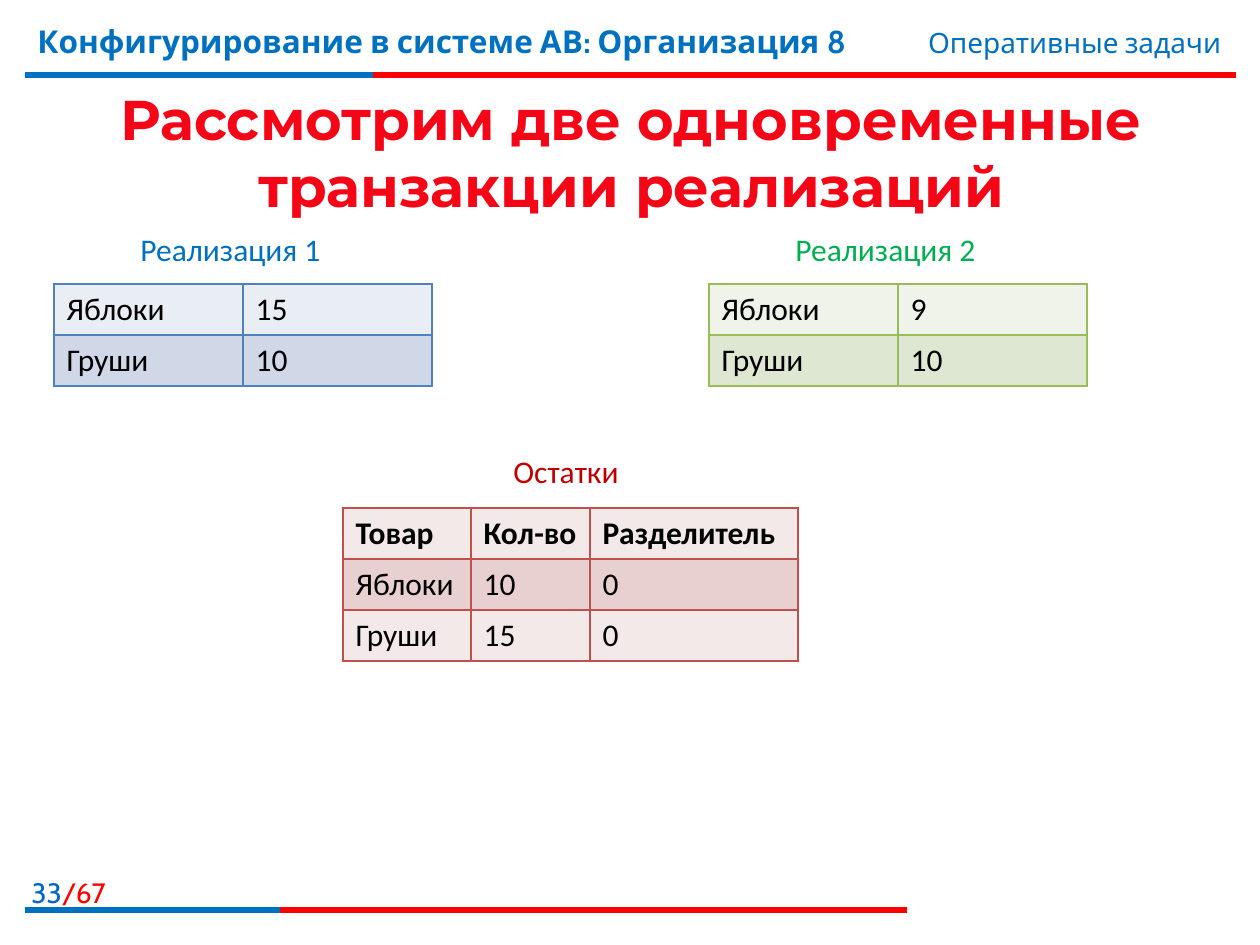
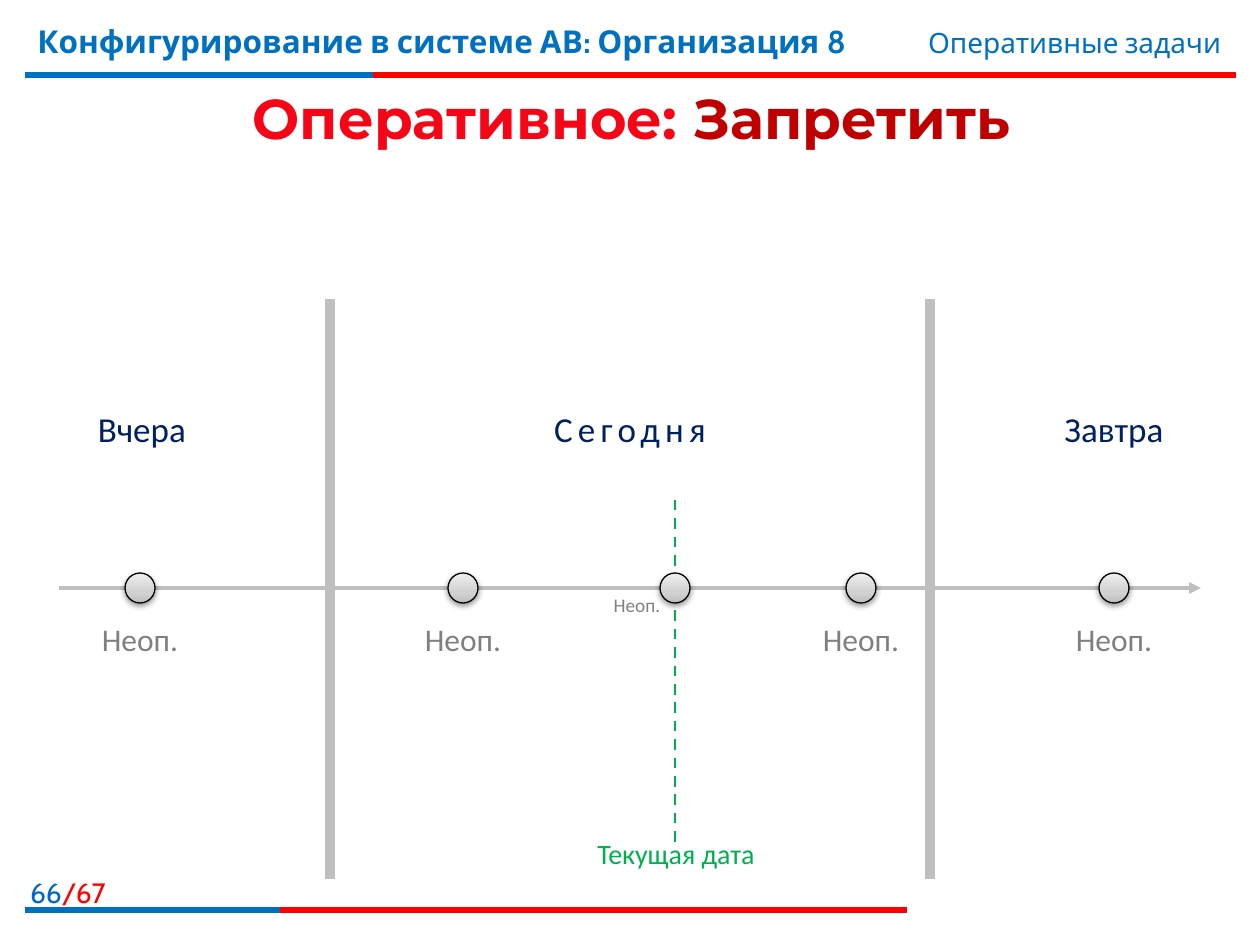
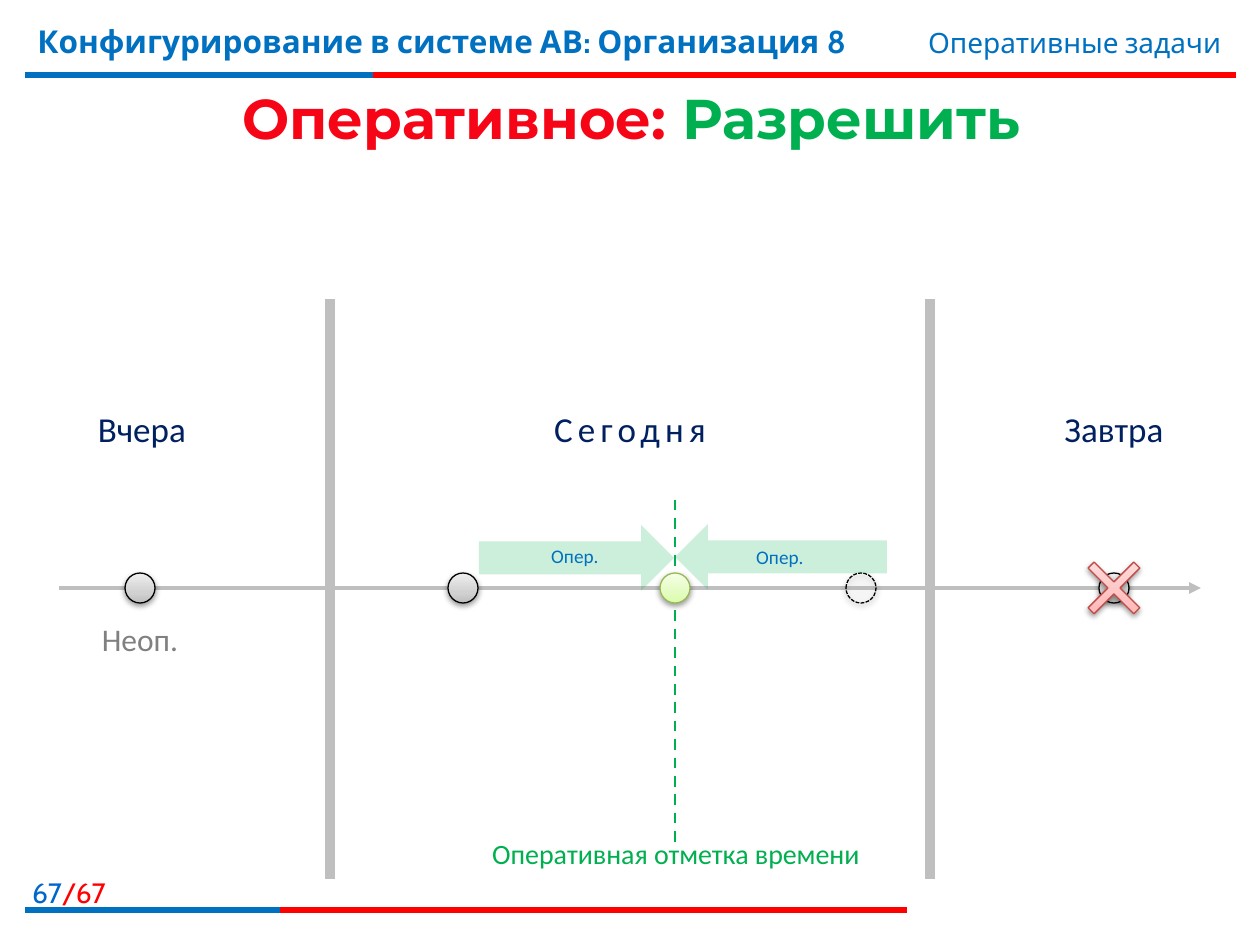
"""Builds three slides on concurrent sales transactions and operational posting."""
from lxml.etree import SubElement
from pptx import Presentation
from pptx.dml.color import RGBColor
from pptx.enum.dml import MSO_LINE
from pptx.enum.shapes import MSO_CONNECTOR, MSO_SHAPE
from pptx.enum.text import MSO_ANCHOR, PP_ALIGN
from pptx.oxml.ns import qn
from pptx.util import Emu, Pt

EMU_PER_PX = 914400 / 126
COLORS = {
    "red": "FF0000", "blue": "0070C0", "page": "0066CC", "title": "F50516",
    "dark_red": "C00000", "green": "00B050", "navy": "002060", "gray": "808080",
    "axis": "BFBFBF", "black": "000000", "pale": "F2F2F2",
    "dot_green_line": "98B955", "cross_line": "BF4C48",
    "blue_border": "4F81BD", "blue_light": "E9EDF4", "blue_band": "D0D8E8",
    "green_border": "9BBB59", "green_light": "EFF3EA", "green_band": "DEE7D1",
    "red_border": "C0504D", "red_light": "F4E9E9", "red_band": "E8D0D0",
    "gray_0": "BDBDBD", "gray_35": "D1D1D1", "gray_100": "EEEEEE",
    "lime_0": "DAFDA7", "lime_35": "E4FCC2", "lime_100": "F5FFE7",
    "rose_0": "FFA6A5", "rose_35": "FFC0BF", "rose_100": "FFE7E7",
}
HEAD_FONT, TITLE_FONT, BODY_FONT = "Cabin", "Montserrat", "Calibri"
AXIS_Y, NOW_X, DOT = 588, 675, 30
YESTERDAY, EARLIER, LATER, TOMORROW = 140, 463, 861, 1114
DAYS = [("Вчера", 142, 115, 0), ("Сегодня", 630, 184, 300), ("Завтра", 1114, 126, 0)]


def px(n):
    """Turns pixels into EMU."""
    return Emu(round(n * EMU_PER_PX))


def rgb(name):
    """Looks up a named colour."""
    return RGBColor.from_string(COLORS[name])


def add_run(p, text, size, color, font=BODY_FONT, bold=False):
    """Adds one formatted run and returns it."""
    r = p.add_run()
    r.text = text
    r.font.size = Pt(size)
    r.font.name = font
    r.font.bold = bold
    r.font.color.rgb = rgb(color)
    return r


def add_text(s, x, y, w, h, align=PP_ALIGN.LEFT, wrap=True):
    """Adds a text box and returns its first paragraph."""
    tf = s.shapes.add_textbox(px(x), px(y), px(w), px(h)).text_frame
    tf.word_wrap = wrap
    p = tf.paragraphs[0]
    p.alignment = align
    return p


def add_label(s, text, center, y, w, h, size, color, spacing=0):
    """Adds an unwrapped label centred on an x position."""
    p = add_text(s, center - w / 2, y, w, h, PP_ALIGN.CENTER, False)
    r = add_run(p, text, size, color)
    if spacing:
        r.font._element.set("spc", str(spacing))


def add_line(s, x1, y1, x2, y2, color, width, dash=None, arrow=False):
    """Adds a straight line, dashed or with an arrowhead if asked."""
    c = s.shapes.add_connector(MSO_CONNECTOR.STRAIGHT, px(x1), px(y1), px(x2), px(y2))
    c.line.color.rgb = rgb(color)
    c.line.width = Pt(width)
    if dash:
        c.line.dash_style = dash
    if arrow:
        SubElement(c.line._get_or_add_ln(), qn("a:tailEnd"), type="triangle")
    SubElement(c._element.spPr, qn("a:effectLst"))


def add_color(parent, color, alpha=None):
    """Adds a colour element with optional opacity in percent."""
    clr = SubElement(parent, qn("a:srgbClr"), val=COLORS[color])
    if alpha is not None:
        SubElement(clr, qn("a:alpha"), val=str(alpha * 1000))


def fill_gradient(sp, name):
    """Fills a shape with a three-stop gradient rising from the bottom."""
    sp.fill.gradient()
    sp.fill.gradient_angle = 90
    stops = sp._element.spPr.find(".//" + qn("a:gsLst"))
    stops.clear()
    for pos in (0, 35, 100):
        add_color(SubElement(stops, qn("a:gs"), pos=str(pos * 1000)), f"{name}_{pos}")


def fill_clear(sp, color, alpha):
    """Fills a shape with a partly transparent colour."""
    sp.fill.solid()
    sp.fill.fore_color.rgb = rgb(color)
    solid = sp._element.spPr.find(qn("a:solidFill"))
    solid.clear()
    add_color(solid, color, alpha)


def add_marker(s, kind, center, size, line):
    """Adds an outlined, softly shadowed shape centred on the time axis."""
    sp = s.shapes.add_shape(kind, px(center - size / 2), px(AXIS_Y - size / 2), px(size), px(size))
    sp.line.color.rgb = rgb(line)
    sp.line.width = Pt(0.75)
    sp.shadow.inherit = False
    effects = sp._element.spPr.find(qn("a:effectLst"))
    shadow = SubElement(effects, qn("a:outerShdw"), blurRad="40000", dist="20000",
                        dir="5400000", rotWithShape="0")
    add_color(shadow, "black", 38)
    return sp


def add_dot(s, center, fill="gray", line="black"):
    """Adds a gradient dot on the time axis."""
    fill_gradient(add_marker(s, MSO_SHAPE.OVAL, center, DOT, line), fill)


def add_arrow(s, kind, x, y, w):
    """Adds a translucent green block arrow."""
    sp = s.shapes.add_shape(kind, px(x), px(y), px(w), px(66))
    fill_clear(sp, "green", 20)
    sp.line.fill.background()
    sp.shadow.inherit = False


def add_grid(s, x, y, widths, rows, tone, header=False):
    """Adds a banded table in one tone."""
    shape = s.shapes.add_table(len(rows), len(widths), px(x), px(y), px(sum(widths)), px(51 * len(rows)))
    table = shape.table
    table.first_row = header
    table.horz_banding = False
    for column, width in zip(table.columns, widths):
        column.width = px(width)
    for i, row in enumerate(rows):
        table.rows[i].height = px(51)
        for j, text in enumerate(row):
            cell = table.cell(i, j)
            add_run(cell.text_frame.paragraphs[0], text, 18, "black", bold=header and i == 0)
            cell.fill.solid()
            cell.fill.fore_color.rgb = rgb(f"{tone}_{'band' if i % 2 else 'light'}")
            tc_pr = cell._tc.get_or_add_tcPr()
            for k, side in enumerate(("lnL", "lnR", "lnT", "lnB")):
                ln = SubElement(tc_pr, qn(f"a:{side}"), w="12700")
                add_color(SubElement(ln, qn("a:solidFill")), f"{tone}_border")
                tc_pr.insert(k, ln)


def add_slide(prs, number, title, height):
    """Adds a slide with the shared rules, header, page number and title."""
    s = prs.slides.add_slide(prs.slide_layouts[5])
    for y, end, blue_end in ((75, 1236, 373), (910, 907, 280)):
        add_line(s, 25, y, end, y, "red", 3)
        add_line(s, 25, y, blue_end, y, "blue", 3)
    p = add_text(s, -13, 869, 131, 40, PP_ALIGN.RIGHT)
    add_run(p, str(number), 16, "page", HEAD_FONT)
    add_run(p, "/67", 16, "red", HEAD_FONT)
    p = add_text(s, 25, 16, 932, 78)
    add_run(p, "Конфигурирование в системе АВ: Организация 8", 18, "blue", HEAD_FONT, True)
    p = add_text(s, 748, 19, 486, 47, PP_ALIGN.RIGHT)
    add_run(p, "Оперативные задачи", 16, "blue", HEAD_FONT)

    sp = s.shapes.title
    sp.left, sp.top, sp.width, sp.height = px(26), px(79), px(1211), px(height)
    tf = sp.text_frame
    tf.word_wrap = True
    tf.vertical_anchor = MSO_ANCHOR.MIDDLE
    p = tf.paragraphs[0]
    p.alignment = PP_ALIGN.CENTER
    for text, color in title:
        add_run(p, text, 32, color, TITLE_FONT, True)
    return s


def add_timeline(s, caption, caption_width):
    """Adds the time axis, day borders, day names and the current moment."""
    add_line(s, 59, AXIS_Y, 1201, AXIS_Y, "axis", 2.25, arrow=True)
    for x in (330, 930):
        add_line(s, x, 299, x, 879, "axis", 6)
    for text, center, width, spacing in DAYS:
        add_label(s, text, center, 401, width, 55, 20, "navy", spacing)
    add_line(s, NOW_X, 500, NOW_X, 844, "green", 1.5, MSO_LINE.DASH)
    add_label(s, caption, NOW_X + 1, 830, caption_width, 47, 16, "green")


def add_mode(s, center):
    """Adds the non-operational label under a dot."""
    add_label(s, "Неоп.", center, 614, 102, 50, 18, "gray")


def build_transactions(prs):
    """Builds the slide with two sales and the stock balance."""
    s = add_slide(prs, 33, [("Рассмотрим две одновременные транзакции реализаций", "title")], 146)
    sales = [(54, "1", "15", "blue"), (709, "2", "9", "green")]
    for x, number, apples, tone in sales:
        add_grid(s, x, 284, (189, 189), [("Яблоки", apples), ("Груши", "10")], tone)
        add_run(add_text(s, x + 74, 224, 228, 50), f"Реализация {number}", 18, tone)
    stock = [("Товар", "Кол-во", "Разделитель"), ("Яблоки", "10", "0"), ("Груши", "15", "0")]
    add_grid(s, 343, 508, (128, 119, 208), stock, "red", header=True)
    add_run(add_text(s, 501, 446, 169, 50), "Остатки", 18, "dark_red")


def build_forbidden(prs):
    """Builds the timeline with operational posting forbidden."""
    s = add_slide(prs, 66, [("Оперативное: ", "title"), ("Запретить", "dark_red")], 76)
    add_timeline(s, "Текущая дата", 185)
    for center in (YESTERDAY, EARLIER, LATER, TOMORROW):
        add_dot(s, center)
        add_mode(s, center)
    add_dot(s, NOW_X)
    add_label(s, "Неоп.", 637, 587, 73, 37, 11, "gray")


def build_allowed(prs):
    """Builds the timeline with operational posting allowed."""
    s = add_slide(prs, 67, [("Оперативное: ", "title"), ("Разрешить", "green")], 76)
    add_timeline(s, "Оперативная отметка времени", 398)
    for center in (YESTERDAY, EARLIER, TOMORROW):
        add_dot(s, center)
    cross = add_marker(s, MSO_SHAPE.MATH_MULTIPLY, TOMORROW, 88, "cross_line")
    cross.adjustments[0] = 0.097
    fill_gradient(cross, "rose")
    add_dot(s, NOW_X, "lime", "dot_green_line")
    add_arrow(s, MSO_SHAPE.RIGHT_ARROW, 479, 525, 195)
    future = add_marker(s, MSO_SHAPE.OVAL, LATER, DOT, "black")
    fill_clear(future, "pale", 10)
    future.line.dash_style = MSO_LINE.SQUARE_DOT
    add_arrow(s, MSO_SHAPE.LEFT_ARROW, NOW_X, 524, 212)
    add_mode(s, YESTERDAY)
    for center, y in ((575, 538), (780, 539)):
        add_label(s, "Опер.", center, y, 73, 37, 11, "blue")


def main():
    """Builds and saves the presentation."""
    prs = Presentation()
    prs.slide_width, prs.slide_height = px(1260), px(945)
    build_transactions(prs)
    build_forbidden(prs)
    build_allowed(prs)
    prs.save("out.pptx")


if __name__ == "__main__":
    main()
